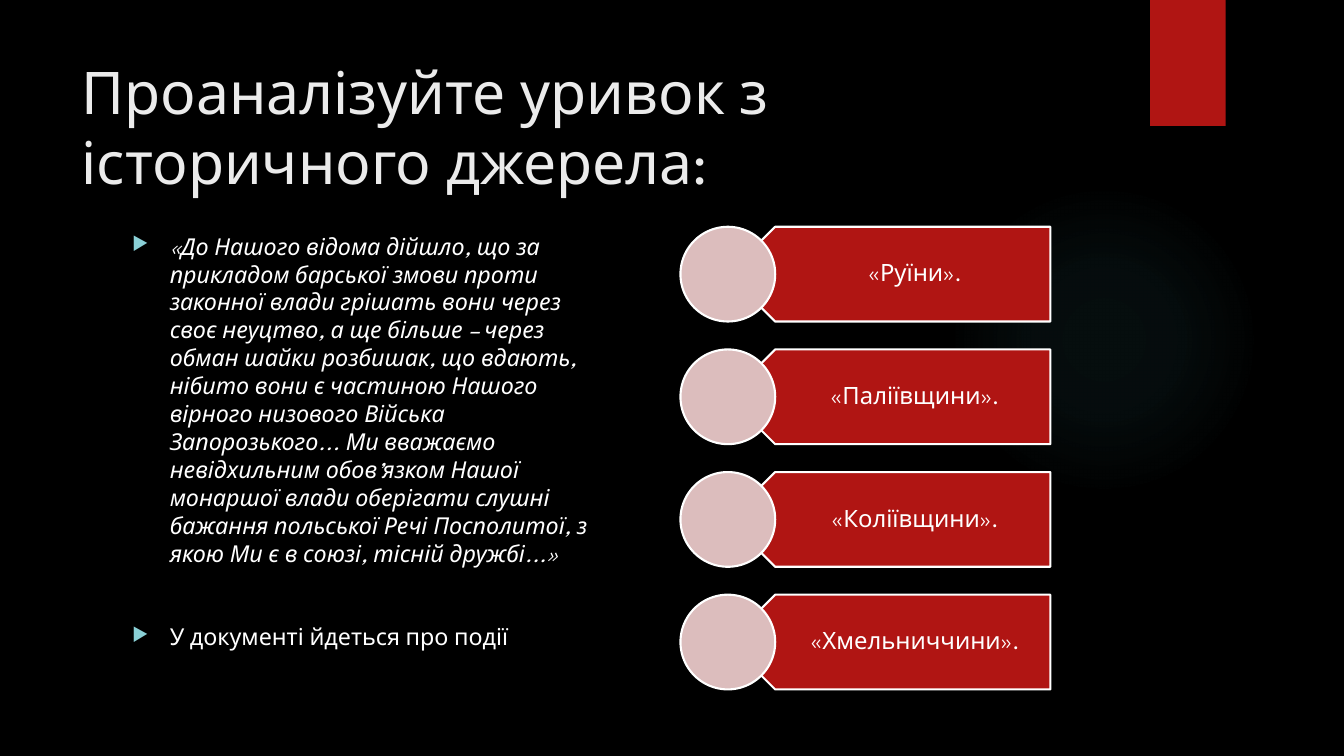
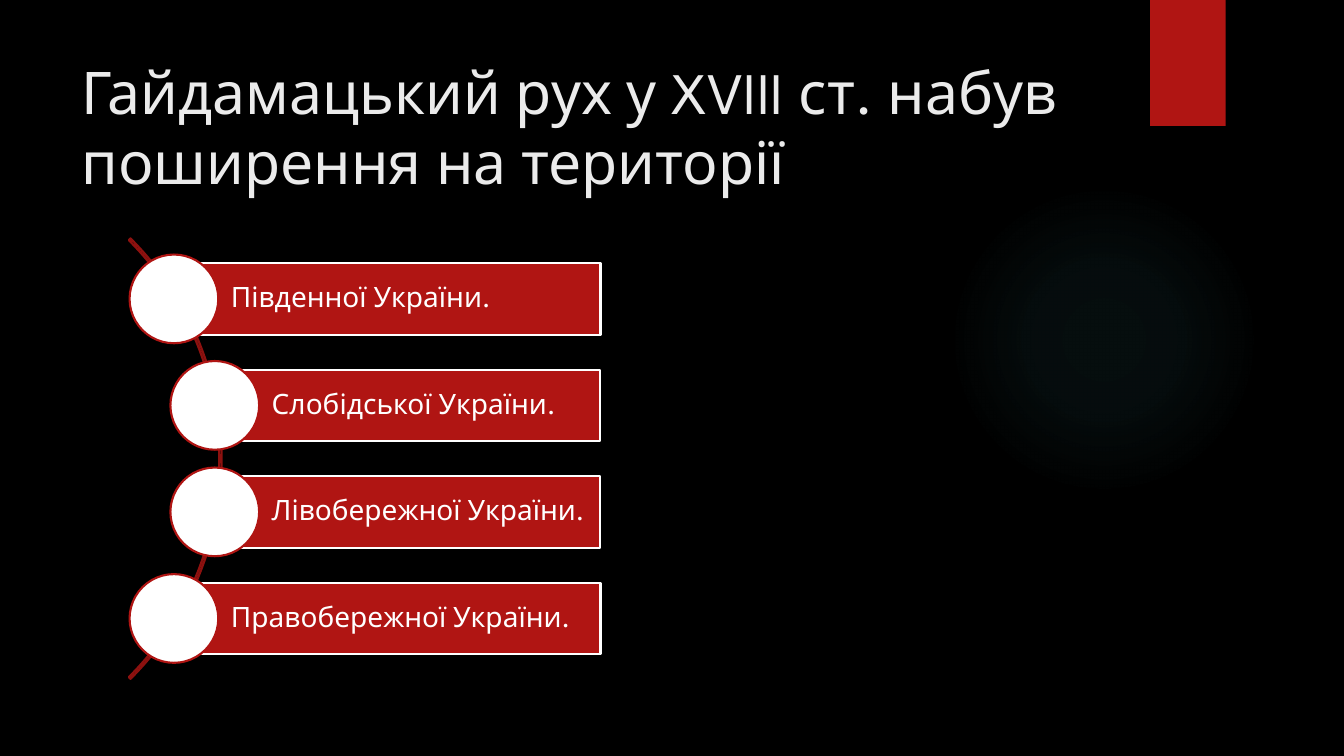
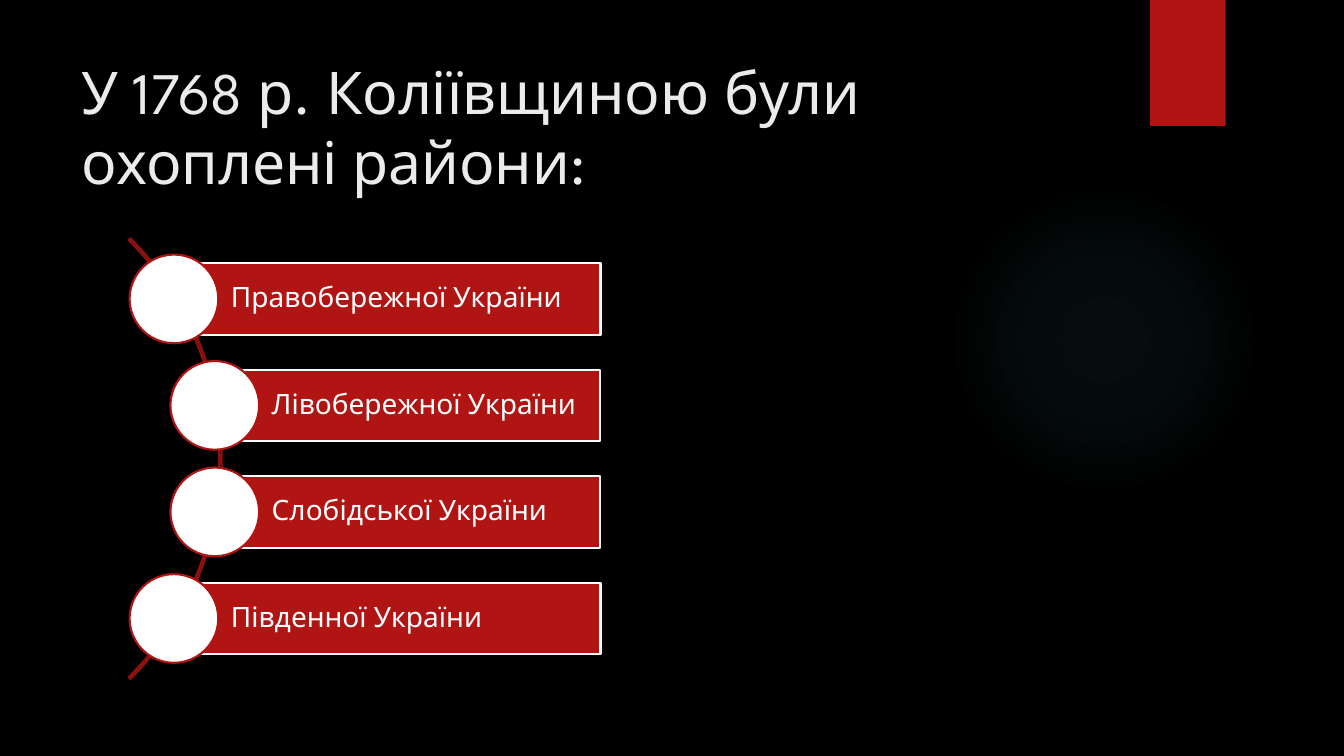
from pptx import Presentation
from pptx import util as u
from pptx.dml.color import RGBColor
from pptx.enum import shapes, text
from pptx.oxml import parse_xml
from pptx.oxml.ns import nsdecls, qn

HUES = {
    "back": "000000", "red": "B01513", "dark": "8D110F", "pink": "DCBDBD",
    "white": "FFFFFF", "head": "EBEBEB", "mark": "8AD0D6", "glow": "50B9C1",
}
KIND = shapes.MSO_SHAPE
ALIGN = text.PP_ALIGN
TOP = text.MSO_ANCHOR.TOP
MID = text.MSO_ANCHOR.MIDDLE


class Deck:
    font = "League Spartan"
    inset = (0.75, 0.38, 0.75, 0.38)

    def __init__(self):
        self.prs = Presentation()
        self.prs.slide_width = u.Inches(13.33)
        self.prs.slide_height = u.Inches(7.5)

    def hue(self, name):
        return RGBColor.from_string(HUES[name])

    def wide(self, share):
        return round(self.prs.slide_width * share / 100)

    def high(self, share):
        return round(self.prs.slide_height * share / 100)

    def area(self, x, y, w, h):
        return self.wide(x), self.high(y), self.wide(w), self.high(h)

    def page(self, title):
        self.slide = self.prs.slides.add_slide(self.prs.slide_layouts[6])
        fill = self.slide.background.fill
        fill.solid()
        fill.fore_color.rgb = self.hue("back")
        self.glow((70.58, 24.4, 23.1, 41.07))
        self.shape(KIND.RECTANGLE, (85.58, 0, 5.62, 16.67), "red")
        self.label((5.33, 6.67, 77.18, 20.4), title, 42, "head")

    def shape(self, kind, area, fill=None, line=None):
        item = self.slide.shapes.add_shape(kind, *self.area(*area))
        item.shadow.inherit = False
        if fill:
            item.fill.solid()
            item.fill.fore_color.rgb = self.hue(fill)
        else:
            item.fill.background()
        if line:
            item.line.color.rgb = self.hue(line)
            item.line.width = u.Pt(1.5)
        else:
            item.line.fill.background()
        return item

    def glow(self, area):
        props = self.shape(KIND.OVAL, area)._element.spPr
        stops = "".join(
            f'<a:gs pos="{at * 1000}"><a:srgbClr val="{HUES["glow"]}">'
            f'<a:alpha val="{alpha * 1000}"/></a:srgbClr></a:gs>'
            for at, alpha in ((0, 7), (36, 6), (69, 0), (100, 0)))
        grad = parse_xml(
            f'<a:gradFill {nsdecls("a")} rotWithShape="1"><a:gsLst>{stops}</a:gsLst>'
            '<a:path path="circle"><a:fillToRect l="50000" t="50000" r="50000" b="50000"/>'
            '</a:path></a:gradFill>')
        props.replace(props.find(qn("a:noFill")), grad)

    def frame(self, item, inset, anchor):
        body = item.text_frame
        body.word_wrap = True
        body.vertical_anchor = anchor
        left, top, right, low = inset
        body.margin_left, body.margin_right = self.wide(left), self.wide(right)
        body.margin_top, body.margin_bottom = self.wide(top), self.wide(low)
        return body

    def style(self, para, size, hue="white", italic=False):
        para.font.name = self.font
        para.font.size = u.Pt(size)
        para.font.color.rgb = self.hue(hue)
        para.font.italic = italic

    def words(self, item, line, size, hue="white", inset=inset,
              anchor=TOP, align=ALIGN.LEFT, space=None):
        para = self.frame(item, inset, anchor).paragraphs[0]
        para.text = line
        para.alignment = align
        para.line_spacing = space
        self.style(para, size, hue)

    def label(self, area, line, size, hue="white", **look):
        box = self.slide.shapes.add_textbox(*self.area(*area))
        self.words(box, line, size, hue, **look)

    def bullets(self, area, items, size, gap):
        box = self.slide.shapes.add_textbox(*self.area(*area))
        body = self.frame(box, self.inset, TOP)
        for i, (line, italic) in enumerate(items):
            para = body.add_paragraph() if i else body.paragraphs[0]
            para.text = line
            props = para._p.get_or_add_pPr()
            hang = self.wide(2.81)
            props.set("marL", str(hang))
            props.set("indent", str(-hang))
            for part in (
                f'<a:buClr {nsdecls("a")}><a:srgbClr val="{HUES["mark"]}"/></a:buClr>',
                f'<a:buSzPct {nsdecls("a")} val="80000"/>',
                f'<a:buChar {nsdecls("a")} char="▶"/>',
            ):
                props.append(parse_xml(part))
            if i:
                para.space_before = u.Pt(gap)
            self.style(para, size, italic=italic)

    def plates(self, names):
        high = 12.53
        for i, name in enumerate(names):
            y = 30 + i * 16.22
            plate = self.shape(KIND.PENTAGON, (54.15, y, 24, high), "red", "white")
            plate.rotation = 180
            self.label((55.95, y, 22.2, high), name, 17, inset=(3.08, 0.53, 0.98, 0.53),
                       anchor=MID, align=ALIGN.CENTER, space=0.9)
            self.shape(KIND.OVAL, (50.63, y, 7.05, high), "pink", "white")

    def curve(self, names):
        arc = self.shape(KIND.BLOCK_ARC, (-29.85, 19.47, 46.35, 82.4), line="dark")
        for i, value in enumerate((189, 27, 0.004)):
            arc.adjustments[i] = value
        for i, name in enumerate(names):
            x = 16.02 if 0 < i < len(names) - 1 else 12.98
            y = 34.8 + i * 14.09
            bar = self.shape(KIND.RECTANGLE, (x, y, 44.68 - x, 9.47), "red", "white")
            self.words(bar, name, 20, inset=(4.2, 0.45, 0.45, 0.45), anchor=MID, space=0.9)
            self.shape(KIND.OVAL, (x - 3.34, y - 1.13, 6.6, 11.73), "white", "red")


def main():
    deck = Deck()
    deck.page("Проаналізуйте уривок з історичного джерела:")
    quote = (
        "«До Нашого відома дійшло, що за прикладом барської змови проти законної влади "
        "грішать вони через своє неуцтво, а ще більше – через обман шайки розбишак, що "
        "вдають, нібито вони є частиною Нашого вірного низового Війська Запорозького... "
        "Ми вважаємо невідхильним обов’язком Нашої монаршої влади оберігати слушні "
        "бажання польської Речі Посполитої, з якою Ми є в союзі, тісній дружбі...»")
    deck.bullets((9.08, 30, 36.08, 61.2),
                 ((quote, True), ("У документі йдеться про події", False)), 16.6, 40)
    deck.plates(("«Руїни».", "«Паліївщини».", "«Коліївщини».", "«Хмельниччини»."))

    deck.page("Гайдамацький рух у XVIII ст. набув поширення на території")
    deck.curve(("Південної України.", "Слобідської України.",
                "Лівобережної України.", "Правобережної України."))

    deck.page("У 1768 р. Коліївщиною були охоплені райони:")
    deck.curve(("Правобережної України", "Лівобережної України",
                "Слобідської України", "Південної України"))
    deck.prs.save("out.pptx")


if __name__ == "__main__":
    main()
